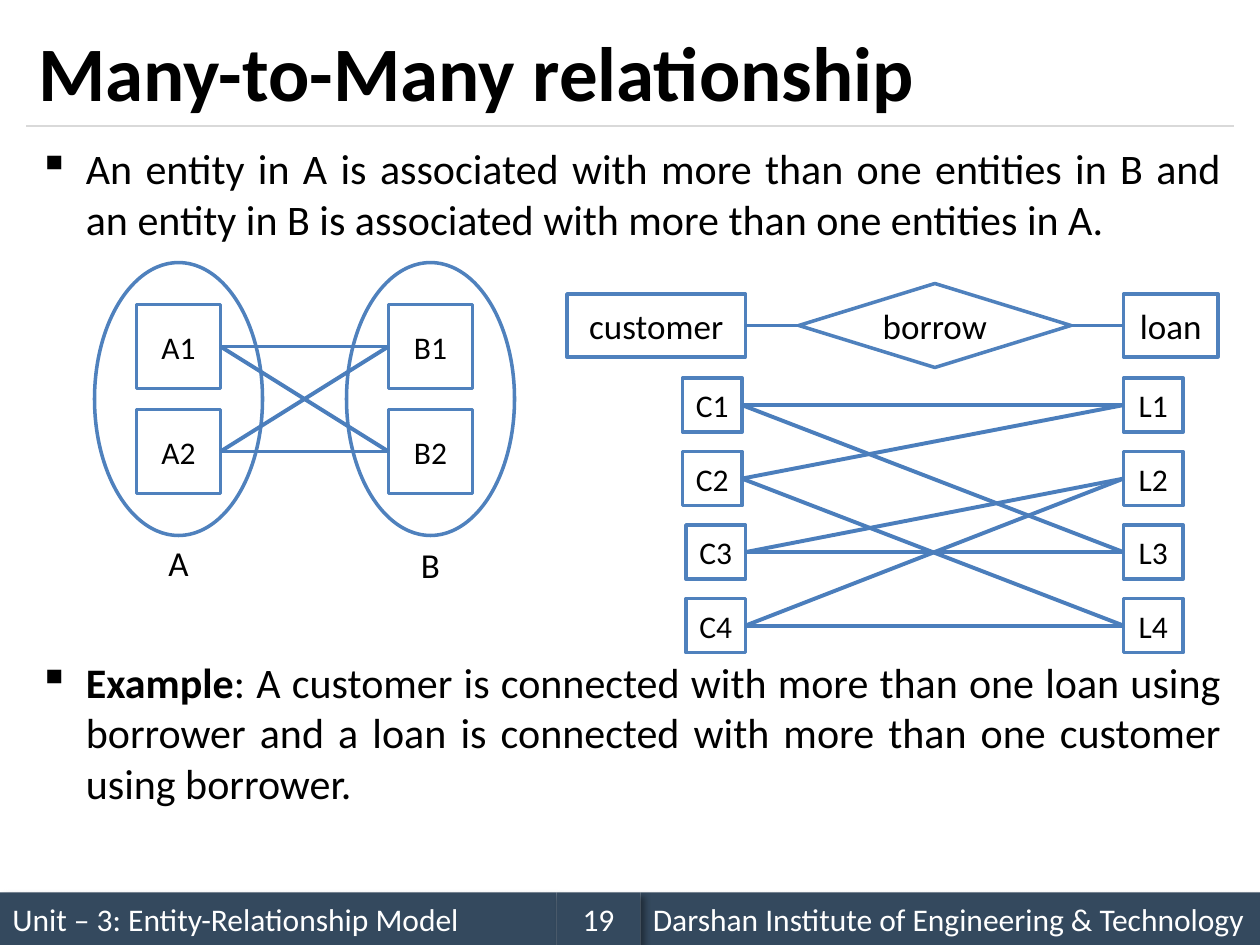
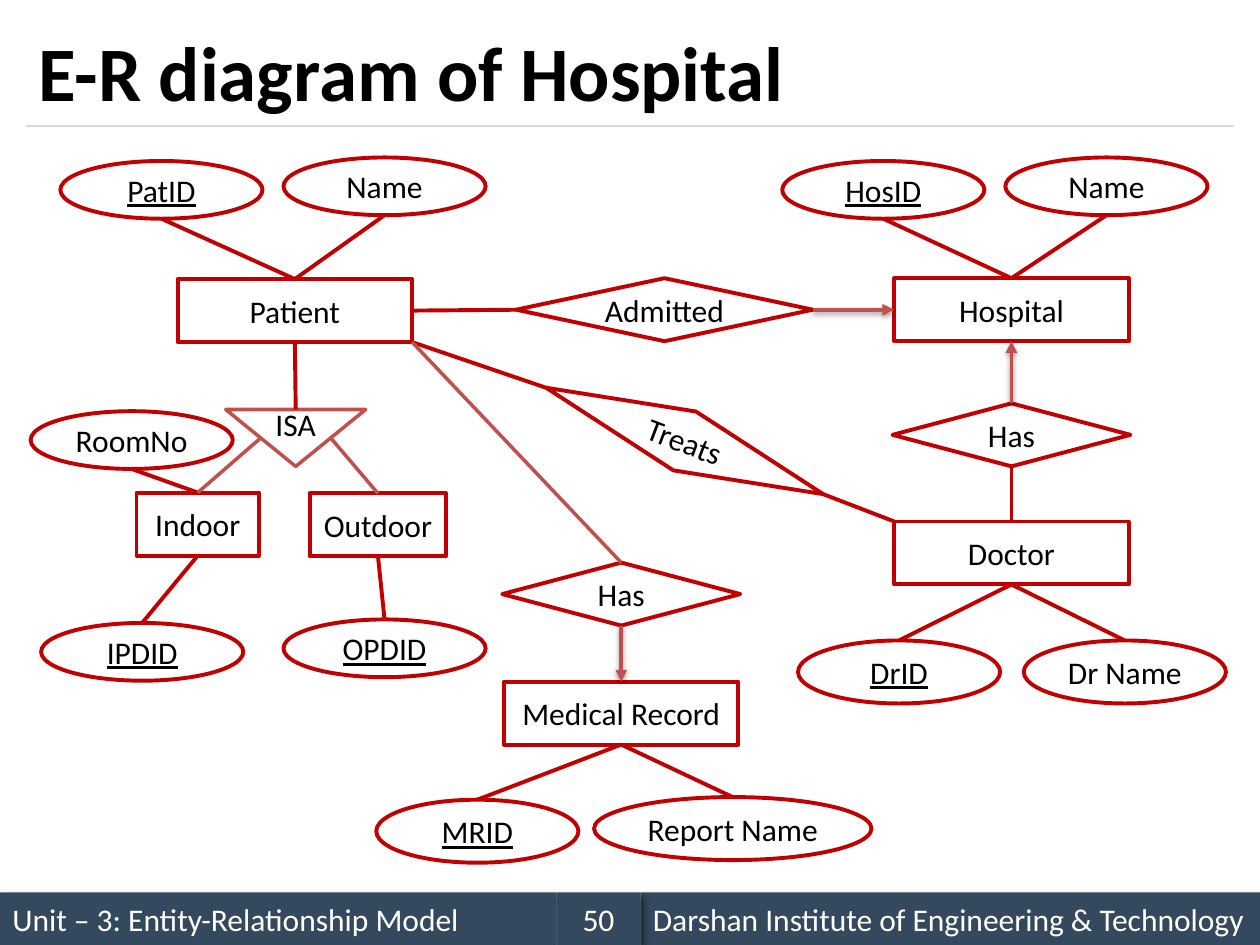
import math
from dataclasses import dataclass

from pptx import Presentation
from pptx import util as u
from pptx.dml.color import RGBColor
from pptx.enum import shapes, text
from pptx.oxml import parse_xml
from pptx.oxml.ns import nsdecls, qn

Pt = u.Pt
RECT = shapes.MSO_SHAPE.RECTANGLE
OVAL = shapes.MSO_SHAPE.OVAL
DIAMOND = shapes.MSO_SHAPE.DIAMOND
MERGE = shapes.MSO_SHAPE.FLOWCHART_MERGE
LEFT, CENTER, JUSTIFY = text.PP_ALIGN.LEFT, text.PP_ALIGN.CENTER, text.PP_ALIGN.JUSTIFY
MIDDLE = text.MSO_ANCHOR.MIDDLE

# Places on a shape, as fractions of its width and height
SPOTS = {
    "top": (0.5, 0), "bottom": (0.5, 1), "left": (0, 0.5), "right": (1, 0.5),
    "top left": (0, 0), "bottom right": (1, 1),
    "left slant": (0.25, 0.5), "right slant": (0.75, 0.5),
}


@dataclass(frozen=True)
class Theme:
    font: str = "Calibri"
    black: str = "000000"
    white: str = "FFFFFF"
    band: str = "34495E"
    rule: str = "D9D9D9"
    blue: str = "4F81BD"
    blue_link: str = "4B7EBC"
    red: str = "C00000"
    soft_red: str = "C0504D"
    title: int = 44
    body: int = 24
    label: int = 20
    small: int = 18
    thin: float = 0.75
    medium: float = 2
    thick: float = 2.25
    # alpha %, blur, distance, direction in degrees
    band_shadow: tuple = (40, 4, 3, 45)
    arrow_shadow: tuple = (38, 3.1, 1.6, 90)


def set_effects(item, shadow=None):
    """Replace the theme's shadow by the given one, or by none."""
    inner = ""
    if shadow:
        alpha, blur, distance, angle = shadow
        inner = (f'<a:outerShdw blurRad="{Pt(blur)}" dist="{Pt(distance)}" '
                 f'dir="{angle * 60000}" rotWithShape="0"><a:srgbClr val="000000">'
                 f'<a:alpha val="{alpha * 1000}"/></a:srgbClr></a:outerShdw>')
    item._element.spPr.append(
        parse_xml(f'<a:effectLst {nsdecls("a")}>{inner}</a:effectLst>'))


def spot(shape, name):
    """Point in points at a named place of a shape, turned with the shape."""
    across, down = SPOTS[name]
    dx = (across - 0.5) * shape.width.pt
    dy = (down - 0.5) * shape.height.pt
    turn = math.radians(shape.rotation)
    x = shape.left.pt + shape.width.pt / 2 + dx * math.cos(turn) - dy * math.sin(turn)
    y = shape.top.pt + shape.height.pt / 2 + dx * math.sin(turn) + dy * math.cos(turn)
    return x, y


class Sketch:
    def __init__(self, deck, theme):
        self.deck, self.theme = deck, theme
        self.page = None

    def start(self, title, number):
        """Add a page with its title, rule and footer."""
        theme = self.theme
        self.page = self.deck.slides.add_slide(self.deck.slide_layouts[6])
        self.band(0, 318, "Unit – 3: Entity-Relationship Model")
        self.line((15, 72), (705, 72), theme.rule, theme.thin)
        self.band(366, 354, "Darshan Institute of Engineering & Technology")
        self.band(318, 48, str(number), CENTER)
        box = self.text_box(15, 9, 690, 63)
        box.text_frame.vertical_anchor = MIDDLE
        box.text_frame.text = title
        self.style(box.text_frame.paragraphs[0], theme.title, bold=True)

    def style(self, para, size, color=None, align=LEFT, bold=False, underline=False):
        para.alignment = align
        for span in para.runs:
            font = span.font
            font.name, font.size, font.bold = self.theme.font, Pt(size), bold
            font.color.rgb = RGBColor.from_string(color or self.theme.black)
            if underline:
                font.underline = True

    def text_box(self, left, top, width, height):
        box = self.page.shapes.add_textbox(Pt(left), Pt(top), Pt(width), Pt(height))
        box.text_frame.word_wrap = True
        return box

    def band(self, left, width, words, align=LEFT):
        theme = self.theme
        bar = self.page.shapes.add_shape(RECT, Pt(left), Pt(510), Pt(width), Pt(30))
        bar.fill.solid()
        bar.fill.fore_color.rgb = RGBColor.from_string(theme.band)
        bar.line.fill.background()
        set_effects(bar, theme.band_shadow)
        bar.text_frame.text = words
        bar.text_frame.vertical_anchor = MIDDLE
        self.style(bar.text_frame.paragraphs[0], theme.small, theme.white, align)

    def bullet(self, top, height, words, lead=""):
        """Bulleted, justified statement with an optional bold lead."""
        para = self.text_box(15, top, 690, height).text_frame.paragraphs[0]
        props = para._p.get_or_add_pPr()
        props.set("marL", str(Pt(27)))
        props.set("indent", str(Pt(-27)))
        props.append(parse_xml(f'<a:buChar {nsdecls("a")} char="▪"/>'))
        para.text = lead or words
        if lead:
            para.add_run().text = words
        self.style(para, self.theme.body, align=JUSTIFY)
        para.runs[0].font.bold = bool(lead)

    def caption(self, left, top, width, words):
        box = self.text_box(left, top, width, 31.5)
        box.text_frame.text = words
        self.style(box.text_frame.paragraphs[0], self.theme.label, align=CENTER)

    def node(self, kind, left, top, width, height, words="", color=None, weight=None,
             size=None, fill=None, key=False, turn=0):
        """Outlined shape with a centred label; a key attribute is underlined."""
        theme = self.theme
        shape = self.page.shapes.add_shape(kind, Pt(left), Pt(top), Pt(width), Pt(height))
        shape.rotation = turn
        if fill:
            shape.fill.solid()
            shape.fill.fore_color.rgb = RGBColor.from_string(fill)
        else:
            shape.fill.background()
        shape.line.color.rgb = RGBColor.from_string(color or theme.red)
        shape.line.width = Pt(weight or theme.thick)
        set_effects(shape)
        frame = shape.text_frame
        frame.margin_left = frame.margin_right = 0
        frame.vertical_anchor = MIDDLE
        if words:
            frame.text = words
            self.style(frame.paragraphs[0], size or theme.small, align=CENTER, underline=key)
        return shape

    def blue_node(self, kind, left, top, width, height, words="", size=None):
        theme = self.theme
        return self.node(kind, left, top, width, height, words, theme.blue,
                         theme.medium, size, theme.white)

    def line(self, start, end, color, weight, arrow=False):
        link = self.page.shapes.add_connector(
            shapes.MSO_CONNECTOR.STRAIGHT, *(Pt(value) for value in (*start, *end)))
        link.line.color.rgb = RGBColor.from_string(color)
        link.line.width = Pt(weight)
        if arrow:
            link._element.spPr.find(qn("a:ln")).append(
                parse_xml(f'<a:tailEnd {nsdecls("a")} type="triangle"/>'))
        set_effects(link, self.theme.arrow_shadow if arrow else None)

    def join(self, first, first_spot, second, second_spot, color=None, weight=None,
             arrow=False):
        self.line(spot(first, first_spot), spot(second, second_spot),
                  color or self.theme.red, weight or self.theme.thick, arrow)


def many_to_many(sketch):
    theme = sketch.theme
    sketch.start("Many-to-Many relationship", 19)
    sketch.bullet(78, 66, "An entity in A is associated with more than one entities in B "
                  "and an entity in B is associated with more than one entities in A.")
    sketch.bullet(371.5, 96, ": A customer is connected with more than one loan using "
                  "borrower and a loan is connected with more than one customer using "
                  "borrower.", lead="Example")

    nodes = {}
    for name, left, caption_top in (("A", 54, 306), ("B", 198, 307)):
        sketch.blue_node(OVAL, left, 150, 96, 156)
        sketch.caption(left, caption_top, 96, name)
        for row in range(2):
            member = f"{name}{row + 1}"
            nodes[member] = sketch.blue_node(RECT, left + 24, 174 + 60 * row, 48, 48, member)

    for name, kind, place in (("customer", RECT, (324, 168, 102, 36)),
                              ("borrow", DIAMOND, (456.5, 162, 155.5, 48)),
                              ("loan", RECT, (642, 168, 54, 36))):
        nodes[name] = sketch.blue_node(kind, *place, name, theme.label)
    for row in range(4):
        customer_left = 390 if row < 2 else 392
        for name, left in ((f"C{row + 1}", customer_left), (f"L{row + 1}", 642)):
            nodes[name] = sketch.blue_node(RECT, left, 216 + 42 * row, 34, 31, name)

    links = ("A1 B1", "A1 B2", "A2 B1", "A2 B2", "customer borrow", "borrow loan",
             "C1 L1", "C1 L3", "C2 L1", "C2 L4", "C3 L2", "C3 L3", "C4 L2", "C4 L4")
    for first, second in map(str.split, links):
        sketch.join(nodes[first], "right", nodes[second], "left", theme.blue_link)


def hospital(sketch):
    theme, node, join = sketch.theme, sketch.node, sketch.join
    sketch.start("E-R diagram of Hospital", 50)

    def entity(left, top, words, width=134):
        return node(RECT, left, top, width, 36, words)

    def relation(left, top, words, width=136, turn=0):
        return node(DIAMOND, left, top, width, 36, words, turn=turn)

    def attribute(owner, left, top, words, key=False, width=115.5, height=33, below=False):
        oval = node(OVAL, left, top, width, height, words, key=key)
        if below:
            join(owner, "bottom", oval, "top")
        else:
            join(oval, "bottom", owner, "top")

    patient = entity(101.5, 159.5, "Patient")
    hospital_box = entity(511, 159, "Hospital")
    doctor = entity(511, 298, "Doctor")
    record = entity(288, 389.5, "Medical Record")
    indoor = entity(78, 281.5, "Indoor", 70)
    outdoor = entity(177, 282, "Outdoor", 78)

    admitted = relation(295, 159, "Admitted", 169.5)
    treats = relation(306.5, 234, "Treats", 169.5, turn=21)
    doctor_has = relation(510, 230.5, "Has")
    patient_has = relation(287, 321.5, "Has")
    isa = node(MERGE, 129, 234, 80, 32.5, "ISA", theme.soft_red, theme.medium,
               fill=theme.white)

    attribute(patient, 34.5, 92, "PatID", key=True)
    attribute(patient, 162, 90, "Name")
    attribute(hospital_box, 447, 92, "HosID", key=True)
    attribute(hospital_box, 574.5, 90, "Name")
    attribute(indoor, 17.5, 235, "RoomNo")
    attribute(indoor, 23.5, 356, "IPDID", key=True, below=True)
    attribute(outdoor, 162, 354, "OPDID", key=True, below=True)
    attribute(doctor, 456, 366, "DrID", key=True, height=36, below=True)
    attribute(doctor, 585, 366, "Dr Name", height=36, below=True)
    attribute(record, 215, 457, "MRID", key=True, height=36, below=True)
    attribute(record, 339.5, 455.5, "Report Name", width=158.5, height=36, below=True)

    join(patient, "right", admitted, "left")
    join(patient, "bottom", isa, "top")
    join(patient, "bottom right", treats, "left")
    join(treats, "right", doctor, "top left")
    join(doctor_has, "bottom", doctor, "top")
    for first, first_spot, second, second_spot in (
            (isa, "left slant", indoor, "top"),
            (isa, "right slant", outdoor, "top"),
            (patient, "bottom right", patient_has, "top")):
        join(first, first_spot, second, second_spot, theme.soft_red, theme.medium)
    for first, first_spot, second, second_spot in (
            (admitted, "right", hospital_box, "left"),
            (doctor_has, "top", hospital_box, "bottom"),
            (patient_has, "bottom", record, "top")):
        join(first, first_spot, second, second_spot, theme.soft_red, arrow=True)


def main():
    deck = Presentation()
    deck.slide_width, deck.slide_height = Pt(720), Pt(540)
    sketch = Sketch(deck, Theme())
    many_to_many(sketch)
    hospital(sketch)
    deck.save("out.pptx")


if __name__ == "__main__":
    main()
